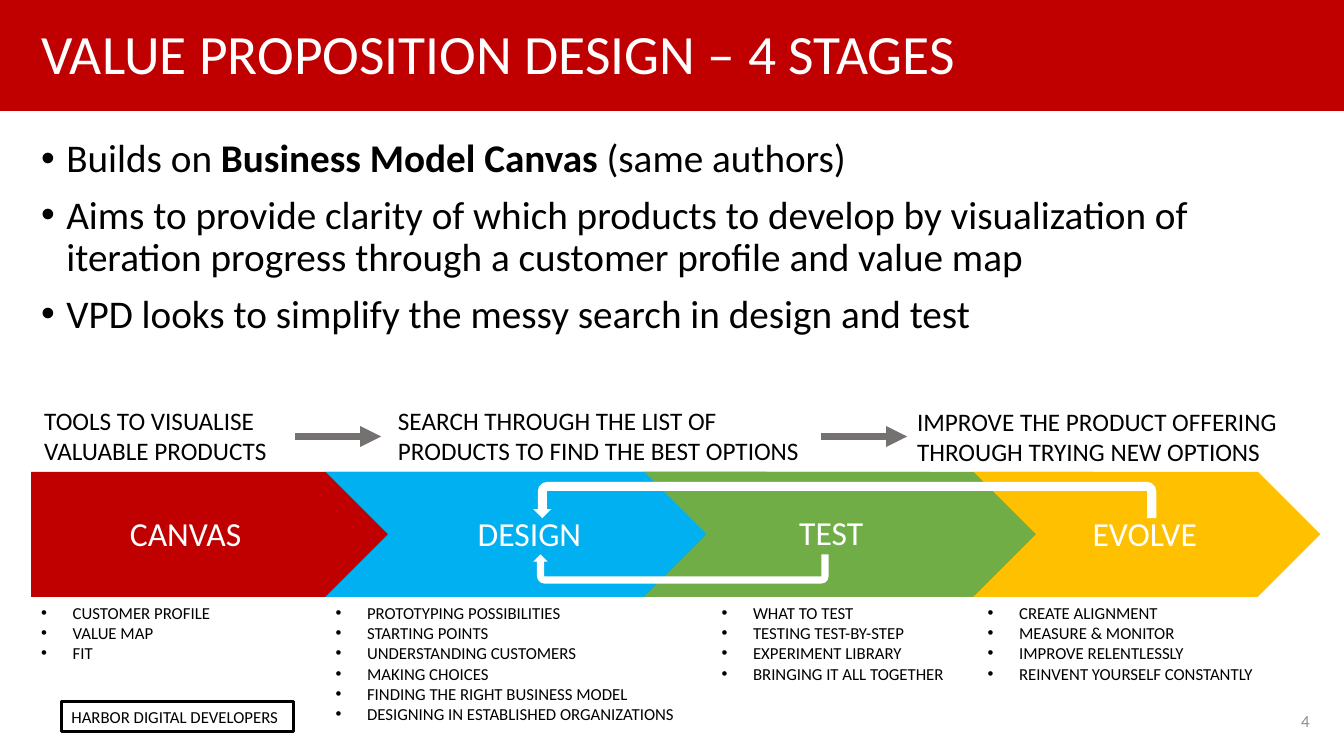
from pptx import Presentation
from pptx.dml.color import RGBColor
from pptx.enum.shapes import MSO_CONNECTOR, MSO_SHAPE
from pptx.enum.text import MSO_ANCHOR, PP_ALIGN
from pptx.oxml.ns import qn
from pptx.util import Pt
from lxml.etree import SubElement

COLORS = {
    "red": "C00000", "blue": "00B0F0", "green": "70AD47", "amber": "FFC000",
    "gray": "767171", "page": "8C8C8C", "white": "FFFFFF", "black": "000000",
}
FONT = "Calibri"
TITLE = "VALUE PROPOSITION DESIGN – 4 STAGES"
BADGE = "HARBOR DIGITAL DEVELOPERS"
PAGE = "4"
POINTS = [
    ["Builds on ", "Business Model Canvas", " (same authors)"],
    ["Aims to provide clarity of which products to develop by visualization of "
     "iteration progress through a customer profile and value map"],
    ["VPD looks to simplify the messy search in design and test"],
]
STAGES = [
    {"name": "CANVAS", "color": "red", "band": (22.3, 569.5), "label": (85.7, 362.9),
     "list": (22.3, 210), "items": ["CUSTOMER PROFILE", "VALUE MAP", "FIT"]},
    {"name": "DESIGN", "color": "blue", "band": (232.6, 476), "label": (334.1, 362.9),
     "list": (232.6, 288),
     "items": ["PROTOTYPING POSSIBILITIES", "STARTING POINTS", "UNDERSTANDING CUSTOMERS",
               "MAKING CHOICES", "FINDING THE RIGHT BUSINESS MODEL",
               "DESIGNING IN ESTABLISHED ORGANIZATIONS"]},
    {"name": "TEST", "color": "green", "band": (460.1, 365.8), "label": (563.8, 362.2),
     "list": (508.3, 181.4),
     "items": ["WHAT TO TEST", "TESTING TEST-BY-STEP", "EXPERIMENT LIBRARY",
               "BRINGING IT ALL TOGETHER"]},
    {"name": "EVOLVE", "color": "amber", "band": (695.5, 247.7), "label": (773.3, 362.5),
     "list": (698.4, 227.5),
     "items": ["CREATE ALIGNMENT", "MEASURE & MONITOR", "IMPROVE RELENTLESSLY",
               "REINVENT YOURSELF CONSTANTLY"]},
]
GOALS = [
    ("TOOLS TO VISUALISE VALUABLE PRODUCTS", 24.5, 285.8, 231.1),
    ("SEARCH THROUGH THE LIST OF PRODUCTS TO FIND THE BEST OPTIONS", 277.2, 285.8, 319.7),
    ("IMPROVE THE PRODUCT OFFERING THROUGH TRYING NEW OPTIONS", 648, 286.6, 283.7),
]
GOAL_ARROWS = [(211, 272.2), (586.1, 648)]
LOOPS = [(380.9, 344.2, 445, 25.9, True), (380.9, 396, 211, 20.9, False)]
BAND_TOP, BAND_H = 337, 89.3
LIST_TOP, LIST_LINE = 427, 14.4


def style(p, size, color):
    for r in p.runs:
        r.font.size = Pt(size)
        r.font.name = FONT
        r.font.color.rgb = RGBColor.from_string(COLORS[color])


def add_bullet(p, indent):
    pPr = p._p.get_or_add_pPr()
    pPr.set("marL", str(Pt(indent)))
    pPr.set("indent", str(-Pt(indent)))
    SubElement(pPr, qn("a:buFont")).set("typeface", "Arial")
    SubElement(pPr, qn("a:buChar")).set("char", "•")


def add_shape(s, kind, x, y, w, h, fill, line=None, width=1):
    sp = s.shapes.add_shape(kind, Pt(x), Pt(y), Pt(w), Pt(h))
    sp.shadow.inherit = False
    sp.fill.solid()
    sp.fill.fore_color.rgb = RGBColor.from_string(COLORS[fill])
    if line:
        sp.line.color.rgb = RGBColor.from_string(COLORS[line])
        sp.line.width = Pt(width)
    else:
        sp.line.fill.background()
    return sp


def add_text(s, lines, x, y, w, h, size, color="black"):
    tf = s.shapes.add_textbox(Pt(x), Pt(y), Pt(w), Pt(h)).text_frame
    tf.word_wrap = True
    tf.text = "\n".join(lines)
    for p in tf.paragraphs:
        style(p, size, color)
    return tf


def add_arrow(s, x1, x2, y):
    c = s.shapes.add_connector(MSO_CONNECTOR.STRAIGHT, Pt(x1), Pt(y), Pt(x2), Pt(y))
    c.line.color.rgb = RGBColor.from_string(COLORS["gray"])
    c.line.width = Pt(5)
    SubElement(c.line._get_or_add_ln(), qn("a:tailEnd")).set("type", "triangle")
    SubElement(c._element.spPr, qn("a:effectLst"))


def add_header(s):
    add_shape(s, MSO_SHAPE.RECTANGLE, 0, 0, 960, 79.2, "red", "red")
    tf = add_text(s, [TITLE], 22.3, 13.7, 920.2, 53.3, 39.6, "white")
    tf.vertical_anchor = MSO_ANCHOR.MIDDLE
    tf.paragraphs[0].line_spacing = 0.9


def add_points(s):
    tf = s.shapes.add_textbox(Pt(22.3), Pt(95.8), Pt(879.8), Pt(157.7)).text_frame
    tf.word_wrap = True
    for i, parts in enumerate(POINTS):
        p = tf.add_paragraph() if i else tf.paragraphs[0]
        for j, part in enumerate(parts):
            r = p.add_run()
            r.text = part
            r.font.bold = j == 1
        p.line_spacing = 0.9
        p.space_before = Pt(10)
        style(p, 28, "black")
        add_bullet(p, 18)


def add_stages(s):
    for i, stage in enumerate(STAGES):
        x, w = stage["band"]
        kind = MSO_SHAPE.CHEVRON if i else MSO_SHAPE.PENTAGON
        add_shape(s, kind, x, BAND_TOP, w, BAND_H, stage["color"])
    for stage in STAGES:
        add_text(s, [stage["name"]], *stage["label"], 106.6, 36, 24, "white")
        x, w = stage["list"]
        items = stage["items"]
        tf = add_text(s, items, x, LIST_TOP, w, 7.2 + LIST_LINE * len(items), 12)
        for p in tf.paragraphs:
            add_bullet(p, 22.5)


def add_flow(s):
    for text, x, y, w in GOALS:
        add_text(s, [text], x, y, w, 51.1, 18)
    for x1, x2 in GOAL_ARROWS:
        add_arrow(s, x1, x2, 311.8)
    for x, y, w, h, flipped in LOOPS:
        sp = add_shape(s, MSO_SHAPE.U_TURN_ARROW, x, y, w, h, "white")
        for i, value in enumerate((0.25, 0.25, 0.25, 0.26, 1)):
            sp.adjustments[i] = value
        sp.rotation = 180
        if flipped:
            sp._element.spPr.xfrm.set("flipV", "1")


def add_footer(s):
    badge = add_shape(s, MSO_SHAPE.RECTANGLE, 43.9, 501.1, 165.6, 21.6, "white", "black", 2)
    tf = badge.text_frame
    tf.word_wrap = False
    tf.text = BADGE
    style(tf.paragraphs[0], 12, "black")
    tf = add_text(s, [PAGE], 801.4, 504, 141.1, 21.6, 12, "page")
    tf.vertical_anchor = MSO_ANCHOR.MIDDLE
    tf.paragraphs[0].alignment = PP_ALIGN.RIGHT


def main():
    prs = Presentation()
    prs.slide_width, prs.slide_height = Pt(960), Pt(540)
    s = prs.slides.add_slide(prs.slide_layouts[6])
    add_header(s)
    add_points(s)
    add_stages(s)
    add_flow(s)
    add_footer(s)
    prs.save("out.pptx")


if __name__ == "__main__":
    main()
